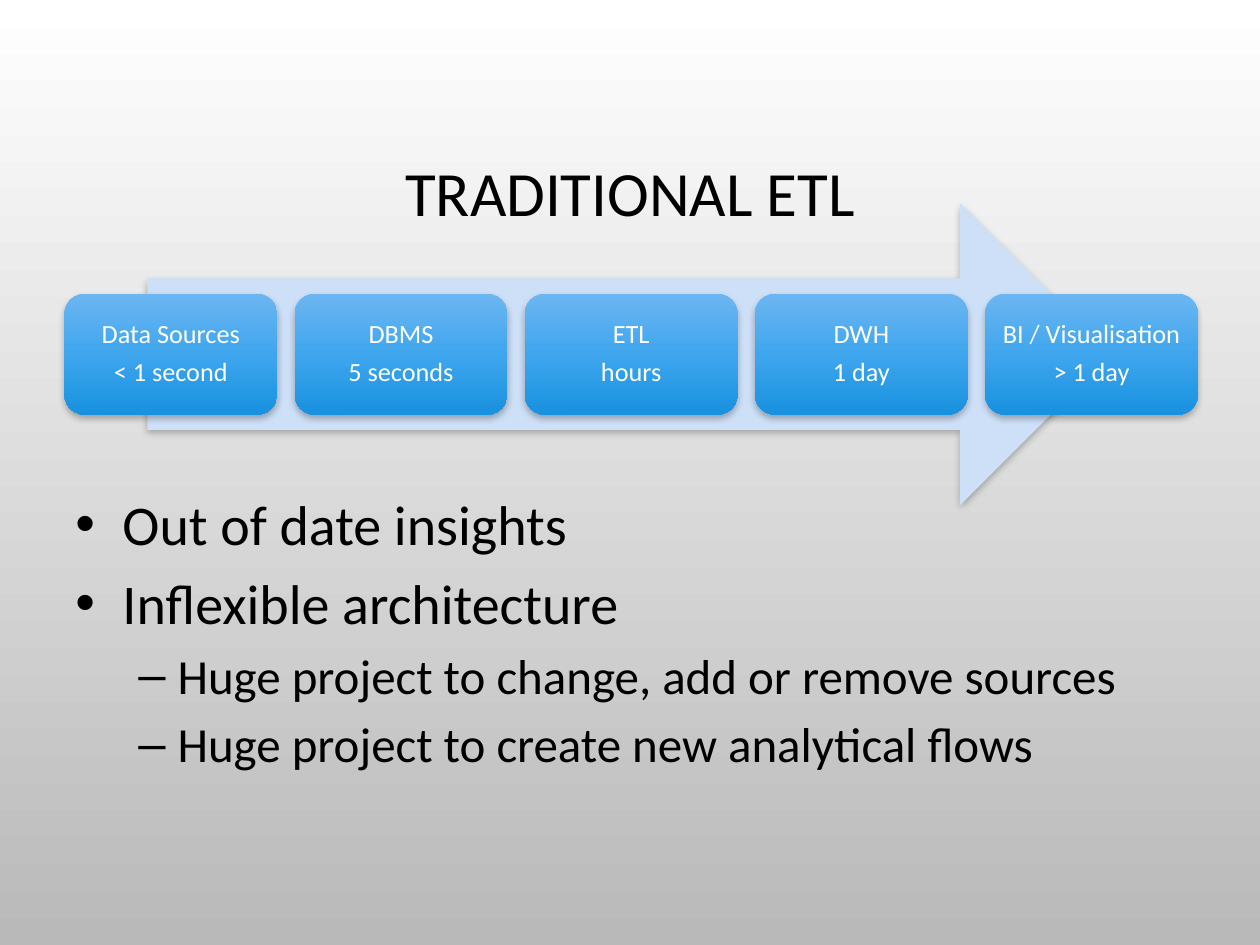
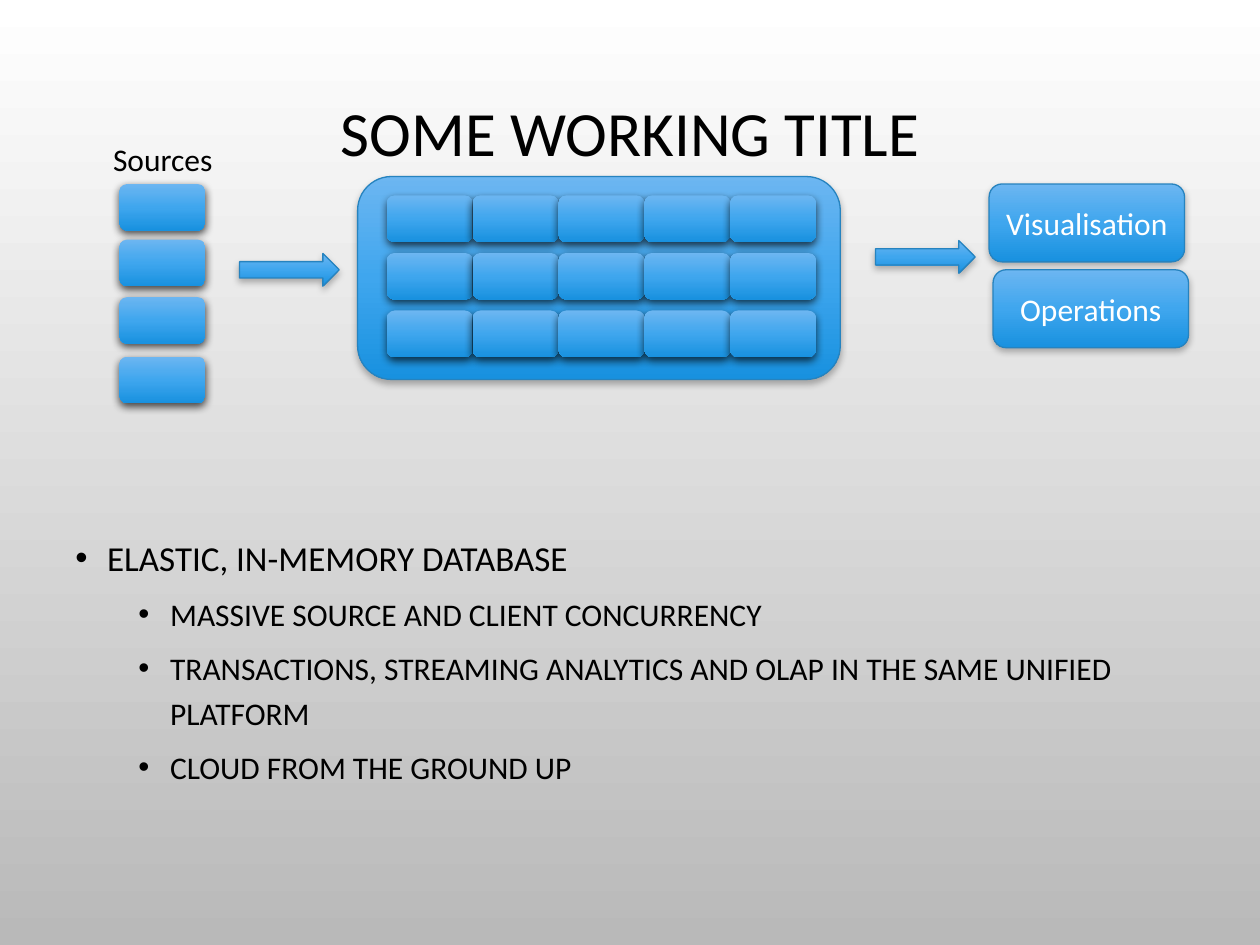
import copy

import lxml.etree
import pptx
import pptx.dml.color
import pptx.enum.shapes
import pptx.enum.text
import pptx.oxml.ns
import pptx.util

Cm = pptx.util.Cm
Pt = pptx.util.Pt
qn = pptx.oxml.ns.qn
KIND = pptx.enum.shapes.MSO_SHAPE
ALIGN = pptx.enum.text.PP_ALIGN
MIDDLE = pptx.enum.text.MSO_ANCHOR.MIDDLE

FONT = "Calibri"
COLOR = {
    "ink": "000000", "white": "FFFFFF", "grey": "B9B9B9",
    "pale": "CDE0F8", "light": "6CB6F1", "mid": "3FA6EE",
    "deep": "1891DF", "edge": "2683BF",
}
SOFT = (28, 4)
STRONG = (69, 5)
CELL = (1.73, 0.94)


def rgb(name):
    return pptx.dml.color.RGBColor.from_string(COLOR[name])


def shade(fill, *names):
    """Colour the stops of a gradient evenly, from top to bottom."""
    fill.gradient_angle = 270
    for i, (stop, name) in enumerate(zip(fill.gradient_stops, names)):
        stop.position = i / (len(names) - 1)
        stop.color.rgb = rgb(name)


def cast(shape, alpha, blur):
    """Drop a black shadow straight down; alpha in percent, blur in points."""
    shape.shadow.inherit = False
    effects = shape.element.spPr.find(qn("a:effectLst"))
    outer = lxml.etree.SubElement(
        effects, qn("a:outerShdw"), blurRad=str(Pt(blur)), dist=str(Pt(2)),
        dir="5400000", rotWithShape="0")
    tint = lxml.etree.SubElement(outer, qn("a:srgbClr"), val=COLOR["ink"])
    lxml.etree.SubElement(tint, qn("a:alpha"), val=str(alpha * 1000))


def write(frame, text, size=18, color="ink", align=ALIGN.LEFT, line=1.0,
          before=0, after=0, level=0, bullet=None, left=0, hang=0):
    """Add one paragraph to a frame; left and hang are bullet indents in cm."""
    para = frame.paragraphs[0]
    if para.runs:
        para = frame.add_paragraph()
    para.alignment, para.level, para.line_spacing = align, level, line
    para.space_before, para.space_after = Pt(before), Pt(after)
    run = para.add_run()
    run.text = text
    run.font.name, run.font.size = FONT, Pt(size)
    run.font.color.rgb = rgb(color)
    if bullet:
        props = para._p.get_or_add_pPr()
        props.set("marL", str(Cm(left)))
        props.set("indent", str(-Cm(hang)))
        lxml.etree.SubElement(props, qn("a:buFont"), typeface="Arial")
        lxml.etree.SubElement(props, qn("a:buChar"), char=bullet)


def label(slide, x, y, w, h, wrap=True):
    frame = slide.shapes.add_textbox(Cm(x), Cm(y), Cm(w), Cm(h)).text_frame
    frame.word_wrap = wrap
    return frame


def title(slide, text, height):
    frame = label(slide, 1.91, 1.73, 21.59, height)
    frame.vertical_anchor = MIDDLE
    write(frame, text, size=36, align=ALIGN.CENTER, line=0.9)


def shape(slide, kind, x, y, w, h, edge=False, shadow=SOFT, flat=None):
    """Add a blue gradient shape, or a plain one when flat names a colour."""
    item = slide.shapes.add_shape(kind, Cm(x), Cm(y), Cm(w), Cm(h))
    if flat:
        item.fill.solid()
        item.fill.fore_color.rgb = rgb(flat)
    else:
        item.fill.gradient()
        stops = item.element.spPr.find(".//" + qn("a:gsLst"))
        stops.insert(1, copy.deepcopy(stops[0]))
        shade(item.fill, "light", "mid", "deep")
    if edge:
        item.line.color.rgb = rgb("edge")
        item.line.width = Pt(0.75)
    else:
        item.line.fill.background()
    cast(item, *shadow)
    return item


def box(slide, x, y, w, h, lines=(), pad=0.25, edge=False, shadow=SOFT,
        **style):
    item = shape(slide, KIND.ROUNDED_RECTANGLE, x, y, w, h, edge, shadow)
    frame = item.text_frame
    frame.word_wrap = True
    frame.vertical_anchor = MIDDLE
    frame.margin_left = frame.margin_right = Cm(pad)
    for text in lines:
        write(frame, text, color="white", align=ALIGN.CENTER, **style)


def page(deck):
    slide = deck.slides.add_slide(deck.slide_layouts[6])
    fill = slide.background.fill
    fill.gradient()
    shade(fill, "white", "grey")
    return slide


def classic(deck):
    slide = page(deck)
    title(slide, "TRADITIONAL ETL", 4.45)
    shape(slide, KIND.RIGHT_ARROW, 2.97, 4.09, 19.43, 6.1, flat="pale")
    steps = [
        ("Data Sources", "< 1 second"), ("DBMS", "5 seconds"),
        ("ETL", "hours"), ("DWH", "1 day"),
        ("BI / Visualisation", "> 1 day"),
    ]
    for i, lines in enumerate(steps):
        box(slide, 1.3 + 4.64 * i, 5.92, 4.29, 2.44, lines, pad=0.15,
            size=15, line=0.9, after=5.25)

    frame = label(slide, 1.27, 9.75, 22.86, 7.26)
    main_style = dict(size=32, before=6.4, bullet="•", left=0.95, hang=0.95)
    sub_style = dict(size=28, before=5.6, bullet="–", left=2.06, hang=0.79,
                     level=1)
    for text in ("Out of date insights", "Inflexible architecture"):
        write(frame, text, **main_style)
    for text in ("Huge project to change, add or remove sources",
                 "Huge project to create new analytical flows"):
        write(frame, text, **sub_style)


def unified(deck):
    slide = page(deck)
    title(slide, "SOME WORKING TITLE", 2.01)

    frame = label(slide, 1.27, 10.52, 22.86, 6.5)
    style = dict(line=1.2, bullet="•", hang=0.64)
    write(frame, "ELASTIC, IN-MEMORY DATABASE", size=20, before=10,
          left=0.64, **style)
    for text in ("MASSIVE SOURCE AND CLIENT CONCURRENCY",
                 "TRANSACTIONS, STREAMING ANALYTICS AND OLAP IN THE SAME "
                 "UNIFIED PLATFORM",
                 "CLOUD FROM THE GROUND UP"):
        write(frame, text, before=5, left=1.91, level=1, **style)

    box(slide, 7.21, 3.56, 9.73, 4.09, edge=True)
    for col in range(5):
        for row in range(3):
            box(slide, 7.8 + CELL[0] * col, 3.94 + 1.16 * row, *CELL,
                shadow=STRONG)

    write(label(slide, 2.03, 2.69, 2.54, 1.02, wrap=False), "Sources")
    for y in (3.71, 4.83, 5.99, 7.19):
        box(slide, 2.41, y, *CELL, shadow=STRONG)

    for x, y in ((4.83, 5.11), (17.65, 4.85)):
        shape(slide, KIND.RIGHT_ARROW, x, y, 2.01, 0.66, edge=True)
    for x, y, text in ((19.94, 3.71, "Visualisation"),
                       (20.02, 5.44, "Operations")):
        box(slide, x, y, 3.94, 1.57, [text], edge=True)


def main():
    deck = pptx.Presentation()
    deck.slide_width, deck.slide_height = Cm(25.4), Cm(19.05)
    classic(deck)
    unified(deck)
    deck.save("out.pptx")


if __name__ == "__main__":
    main()
